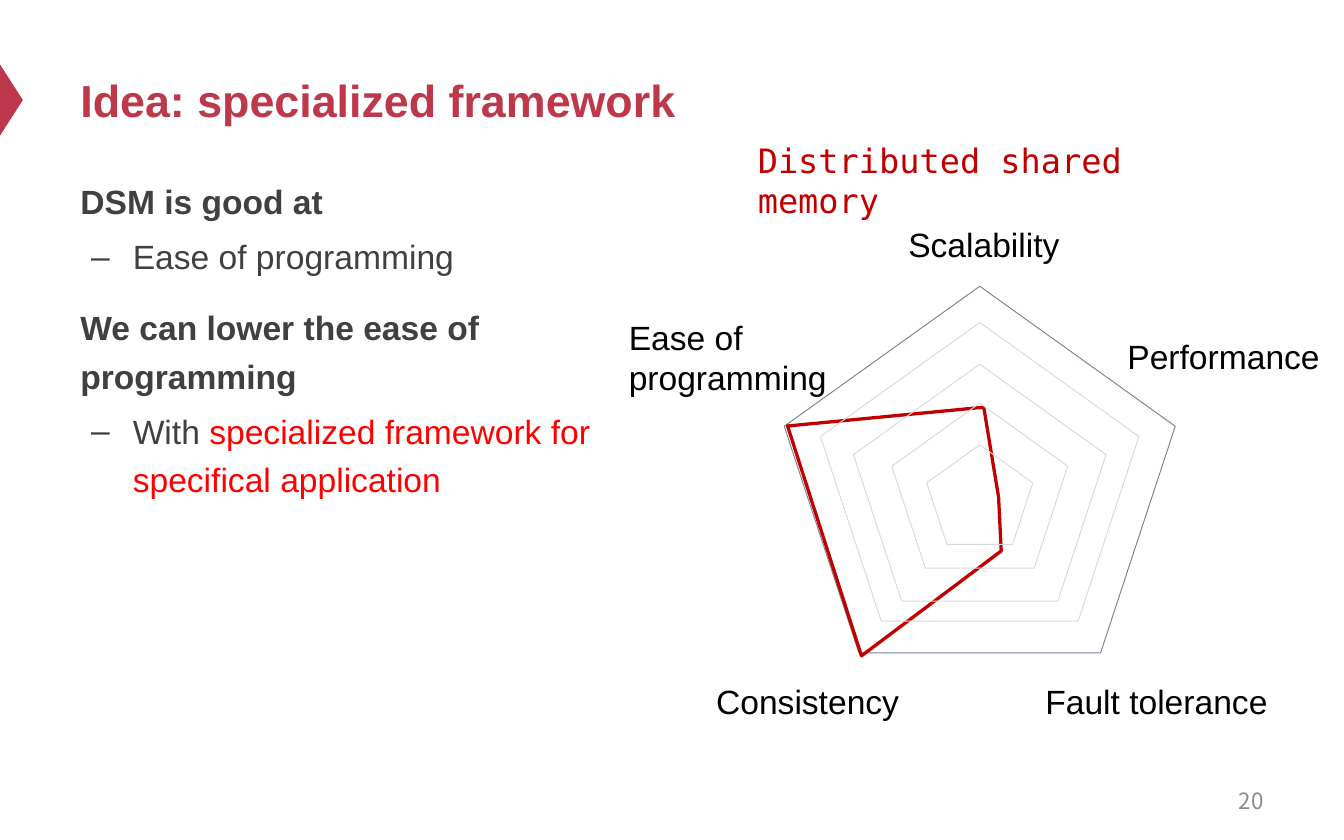
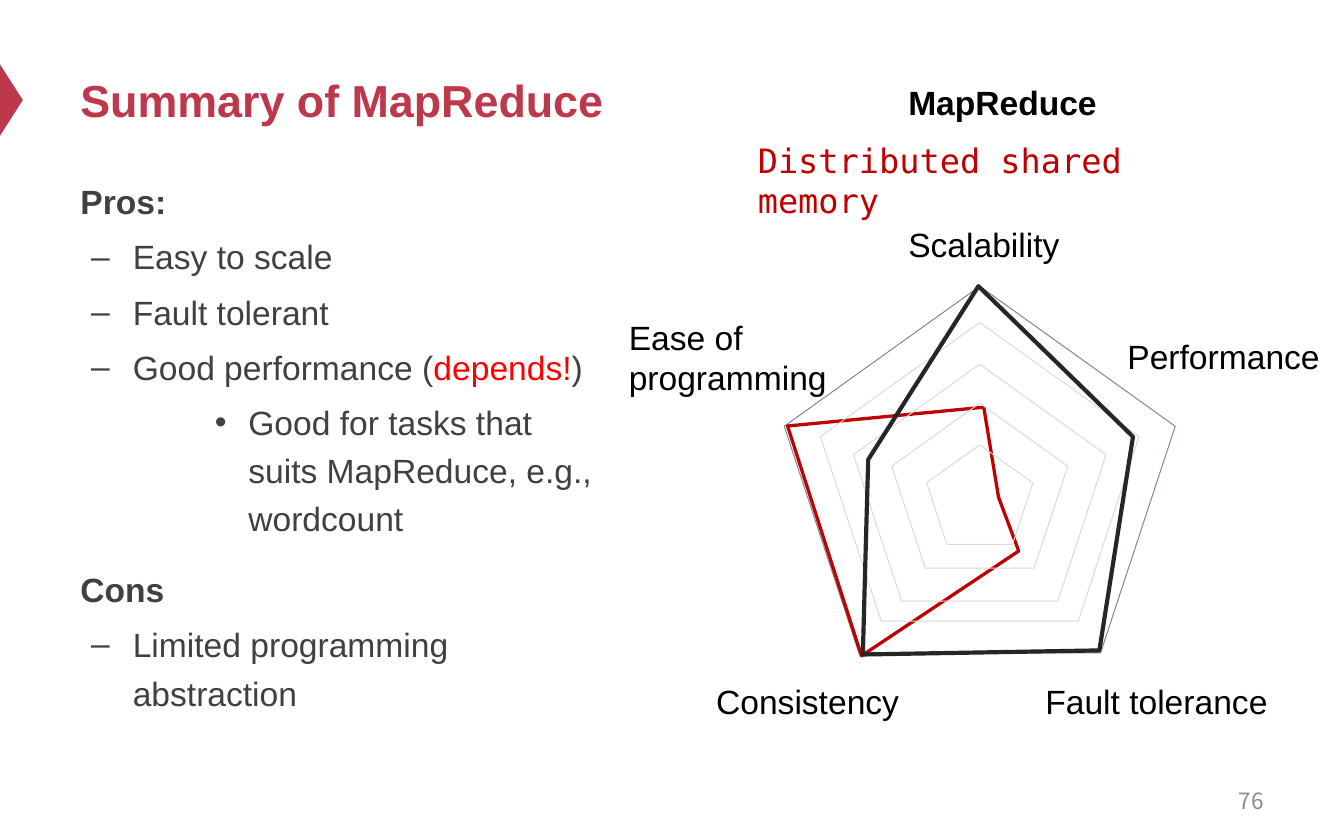
from lxml import etree
from pptx import Presentation
from pptx.dml.color import RGBColor
from pptx.enum.shapes import MSO_SHAPE
from pptx.enum.text import MSO_ANCHOR, PP_ALIGN
from pptx.oxml.ns import qn
from pptx.util import Inches, Pt

TRIANGLE = MSO_SHAPE.ISOSCELES_TRIANGLE
PENTAGON = MSO_SHAPE.REGULAR_PENTAGON
TOP, MIDDLE = MSO_ANCHOR.TOP, MSO_ANCHOR.MIDDLE
LEFT, RIGHT = PP_ALIGN.LEFT, PP_ALIGN.RIGHT

FONT, CODE_FONT, NUMBER_FONT = "Arial", "DejaVu Sans Mono", "Noto Sans CJK SC"
BRAND, BODY, HIGHLIGHT, BLACK = "BE384B", "404040", "FF0000", "000000"
AXIS, GRID, NUMBER = "778495", "D9D9D9", "8C8C8C"
DSM_COLOUR, MAPREDUCE_COLOUR = "C00000", "262626"

# Bullet character, left margin and hanging indent of each body level
BULLETS = {1: ("–", 0.39, -0.31), 2: ("•", 1.25, -0.25)}

RADAR_CENTRE = 7.29
RADAR_RATIO = 0.9375
OUTER_RING = (2.91, 2.13)
INNER_RINGS = [(2.37, 2.4), (1.88, 2.71), (1.31, 3), (0.79, 3.31)]
AXIS_LABELS = [
    ("Scalability", 6.66, 1.62, 1.34, 0.4),
    ("Consistency", 5.23, 5.02, 1.58, 0.4),
    ("Fault tolerance", 7.68, 5.02, 1.94, 0.4),
    ("Ease of\nprogramming", 4.58, 2.31, 1.69, 0.71),
    ("Performance", 8.29, 2.45, 1.65, 0.4),
]
MAPREDUCE_SCORES = [(6.46, 3.42), (7.28, 2.13), (8.43, 3.25), (8.18, 4.84),
                    (6.42, 4.87), (6.44, 4.14)]


def colour(value):
    """Turn a hex string into a colour."""
    return RGBColor.from_string(value)


def style_font(font, size, value, bold=False, name=FONT):
    """Set size, colour, weight and typeface of a font."""
    font.size, font.bold, font.name = Pt(size), bold, name
    font.color.rgb = colour(value)


def add_text(page, text, left, top, width, height, size=18, value=BLACK,
             bold=False, name=FONT, align=LEFT, anchor=TOP, wrap=True):
    """Add a text box with one style throughout."""
    box = page.shapes.add_textbox(Inches(left), Inches(top),
                                  Inches(width), Inches(height))
    frame = box.text_frame
    frame.word_wrap, frame.vertical_anchor = wrap, anchor
    frame.text = text
    for para in frame.paragraphs:
        para.alignment = align
        for span in para.runs:
            style_font(span.font, size, value, bold, name)


def set_bullet(para, level):
    """Give a paragraph the bullet and indents of its level."""
    character, margin, indent = BULLETS[level]
    properties = para._p.get_or_add_pPr()
    properties.set("marL", str(Inches(margin)))
    properties.set("indent", str(Inches(indent)))
    etree.SubElement(properties, qn("a:buFont")).set("typeface", FONT)
    etree.SubElement(properties, qn("a:buChar")).set("char", character)


def add_body(page, items):
    """Add the outline; every second span of an item is highlighted."""
    box = page.shapes.add_textbox(Inches(0.5), Inches(1.24),
                                  Inches(4.04), Inches(4.56))
    frame = box.text_frame
    frame.word_wrap = True
    for index, (level, *spans) in enumerate(items):
        para = frame.add_paragraph() if index else frame.paragraphs[0]
        para.level, para.line_spacing = level, 1.2
        if index:
            para.space_before = Pt(3.6 if level else 12)
        if level:
            set_bullet(para, level)
        for position, text in enumerate(spans):
            span = para.add_run()
            span.text = text
            style_font(span.font, 18, HIGHLIGHT if position % 2 else BODY,
                       bold=level == 0)


def style_outline(shape, value, weight):
    """Leave a shape unfilled with a plain outline."""
    shape.shadow.inherit = False
    shape.fill.background()
    shape.line.color.rgb = colour(value)
    shape.line.width = Pt(weight)


def add_ring(page, width, top, value):
    """Add one pentagon of the radar grid."""
    ring = page.shapes.add_shape(
        PENTAGON, Inches(RADAR_CENTRE - width / 2), Inches(top),
        Inches(width), Inches(width * RADAR_RATIO))
    style_outline(ring, value, 0.5)


def add_scores(page, points, value, weight):
    """Add the closed outline of one system's scores."""
    corners = [(Inches(x), Inches(y)) for x, y in points]
    builder = page.shapes.build_freeform(*corners[0])
    builder.add_line_segments(corners[1:], close=True)
    style_outline(builder.convert_to_shape(), value, weight)


def add_radar(page, dsm_fault_tolerance):
    """Add the radar diagram with the shared-memory scores."""
    for text, *place in AXIS_LABELS:
        add_text(page, text, *place, wrap=False)
    add_ring(page, *OUTER_RING, AXIS)
    dsm_scores = [(5.86, 3.17), (7.32, 3.03), (7.43, 3.7),
                  (dsm_fault_tolerance, 4.1), (6.41, 4.88)]
    add_scores(page, dsm_scores, DSM_COLOUR, 1.75)
    for width, top in INNER_RINGS:
        add_ring(page, width, top, GRID)
    add_text(page, "Distributed shared memory", 5.54, 0.99, 3.8, 0.4,
             value=DSM_COLOUR, name=CODE_FONT)


def add_page(deck, title, number, items):
    """Add a page with its marker, title, outline and number."""
    page = deck.slides.add_slide(deck.slide_layouts[6])
    marker = page.shapes.add_shape(TRIANGLE, Inches(-0.18), Inches(0.66),
                                   Inches(0.53), Inches(0.17))
    marker.rotation = 90
    marker.shadow.inherit = False
    marker.fill.solid()
    marker.fill.fore_color.rgb = colour(BRAND)
    marker.line.fill.background()
    add_text(page, title, 0.5, 0.25, 9, 0.98, size=24, value=BRAND,
             bold=True, anchor=MIDDLE)
    add_body(page, items)
    add_text(page, number, 7.17, 5.79, 2.33, 0.33, size=12, value=NUMBER,
             name=NUMBER_FONT, align=RIGHT, anchor=MIDDLE)
    return page


def main():
    """Build both pages and save the deck."""
    deck = Presentation()
    deck.slide_width, deck.slide_height = Inches(10), Inches(6.25)

    idea = add_page(deck, "Idea: specialized framework", "20", [
        (0, "DSM is good at"),
        (1, "Ease of programming"),
        (0, "We can lower the ease of programming"),
        (1, "With ", "specialized framework for specifical application"),
    ])
    add_radar(idea, dsm_fault_tolerance=7.45)

    summary = add_page(deck, "Summary of MapReduce", "76", [
        (0, "Pros:"),
        (1, "Easy to scale"),
        (1, "Fault tolerant"),
        (1, "Good performance (", "depends!", ")"),
        (2, "Good for tasks that suits MapReduce, e.g., wordcount"),
        (0, "Cons"),
        (1, "Limited programming abstraction"),
    ])
    add_radar(summary, dsm_fault_tolerance=7.58)
    add_scores(summary, MAPREDUCE_SCORES, MAPREDUCE_COLOUR, 2.25)
    add_text(summary, "MapReduce", 6.66, 0.56, 1.69, 0.4, bold=True,
             wrap=False)

    deck.save("out.pptx")


if __name__ == "__main__":
    main()
